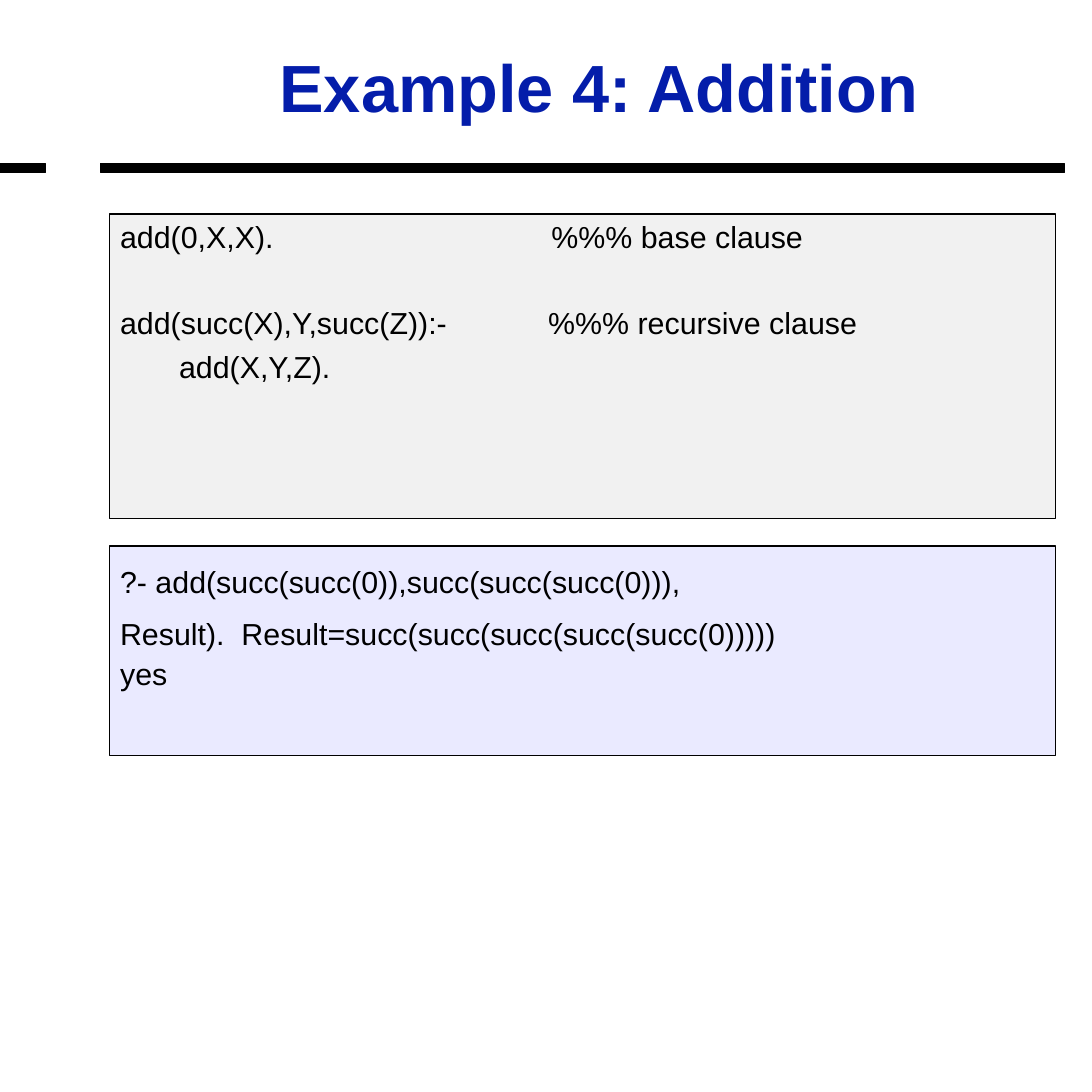
import pptx
import pptx.util
import pptx.dml.color
import pptx.enum.shapes
import pptx.enum.text
import pptx.oxml.ns
import lxml.etree

Inches = pptx.util.Inches
Pt = pptx.util.Pt
COLORS = {"ink": "000000", "title": "041DAA", "code": "E4E4E4", "query": "D6D7FF"}
FONT = "Arial"


def color(name):
    return pptx.dml.color.RGBColor.from_string(COLORS[name])


def panel(slide, box, fill, alpha=100):
    shape = slide.shapes.add_shape(
        pptx.enum.shapes.MSO_SHAPE.RECTANGLE, *map(Inches, box))
    shape.shadow.inherit = False
    shape.fill.solid()
    shape.fill.fore_color.rgb = color(fill)
    shape.line.color.rgb = color("ink")
    shape.line.width = Pt(0.75)
    if alpha < 100:
        qn = pptx.oxml.ns.qn
        tint = shape.fill._xPr.find(qn("a:solidFill")).find(qn("a:srgbClr"))
        lxml.etree.SubElement(tint, qn("a:alpha")).set("val", str(alpha * 1000))
    return shape


def setup(shape):
    frame = shape.text_frame
    frame.word_wrap = True
    frame.vertical_anchor = pptx.enum.text.MSO_ANCHOR.TOP
    frame.margin_left = frame.margin_right = frame.margin_bottom = 0
    frame.margin_top = Inches(0.01)
    return frame


def write(para, lines, size=20, tone="ink", bold=False, left=0, first=0, space=1.0):
    para.alignment = pptx.enum.text.PP_ALIGN.LEFT
    para.line_spacing = space
    props = para._p.get_or_add_pPr()
    props.set("marL", str(Inches(left)))
    props.set("indent", str(Inches(first)))
    for i, line in enumerate(lines):
        if i:
            para.add_line_break()
        run = para.add_run()
        run.text = line
        run.font.name = FONT
        run.font.size = Pt(size)
        run.font.bold = bold
        run.font.color.rgb = color(tone)


def label(slide, box, lines, **style):
    frame = setup(slide.shapes.add_textbox(*map(Inches, box)))
    write(frame.paragraphs[0], lines, **style)


def header(slide, box):
    x, y, w, h = box
    for left, width in ((0, 0.42), (0.92, 8.83)):
        panel(slide, (x + left, y + h, width, 0.08), "ink")
    label(slide, (x + 2.55, y + 0.41, 5.9, 0.76), ["Example 4: Addition"],
          size=44, tone="title", bold=True, left=0.01)


def program(slide, box):
    x, y, w, h = box
    panel(slide, box, "code", 50)
    label(slide, (x + 0.1, y + 0.03, 1.6, 0.36), ["add(0,X,X)."])
    label(slide, (x + 4.05, y + 0.03, 2.6, 0.36), ["%%% base clause"])
    label(slide, (x + 4.02, y + 0.82, 3.2, 0.36), ["%%% recursive clause"])
    label(slide, (x + 0.1, y + 0.75, 3.4, 0.83),
          ["add(succ(X),Y,succ(Z)):-", "add(X,Y,Z)."],
          left=0.54, first=-0.54, space=1.21)


def query(slide, box):
    frame = setup(panel(slide, box, "query", 50))
    write(frame.paragraphs[0],
          ["?- add(succ(succ(0)),succ(succ(succ(0))),",
           "Result).  Result=succ(succ(succ(succ(succ(0)))))"],
          left=0.1, space=1.44)
    answer = frame.add_paragraph()
    write(answer, ["yes"], left=0.1)
    answer.space_before = Pt(2.2)


def main():
    deck = pptx.Presentation()
    deck.slide_width = deck.slide_height = Inches(10)
    slide = deck.slides.add_slide(deck.slide_layouts[6])
    header(slide, (0, 0, 10, 1.5))
    program(slide, (1, 1.96, 8.67, 2.79))
    query(slide, (1, 5, 8.67, 1.92))
    deck.save("out.pptx")


if __name__ == "__main__":
    main()
